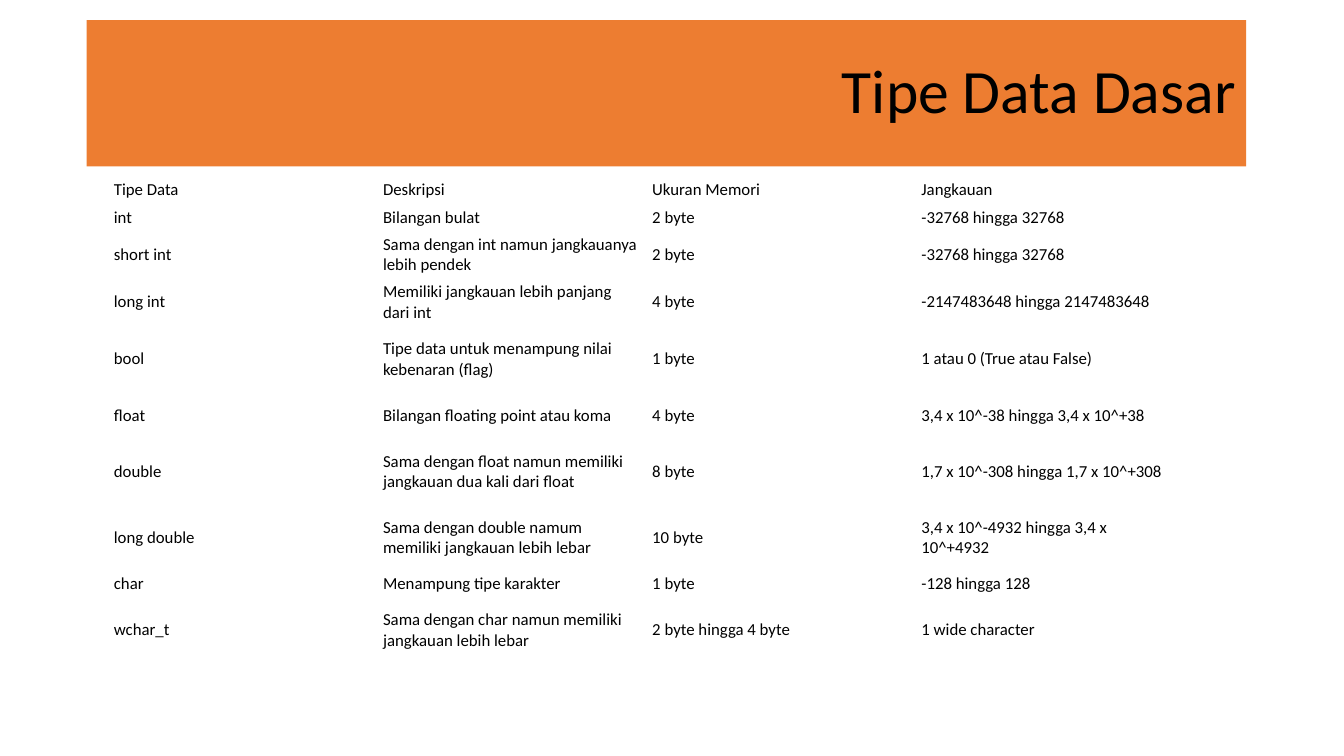
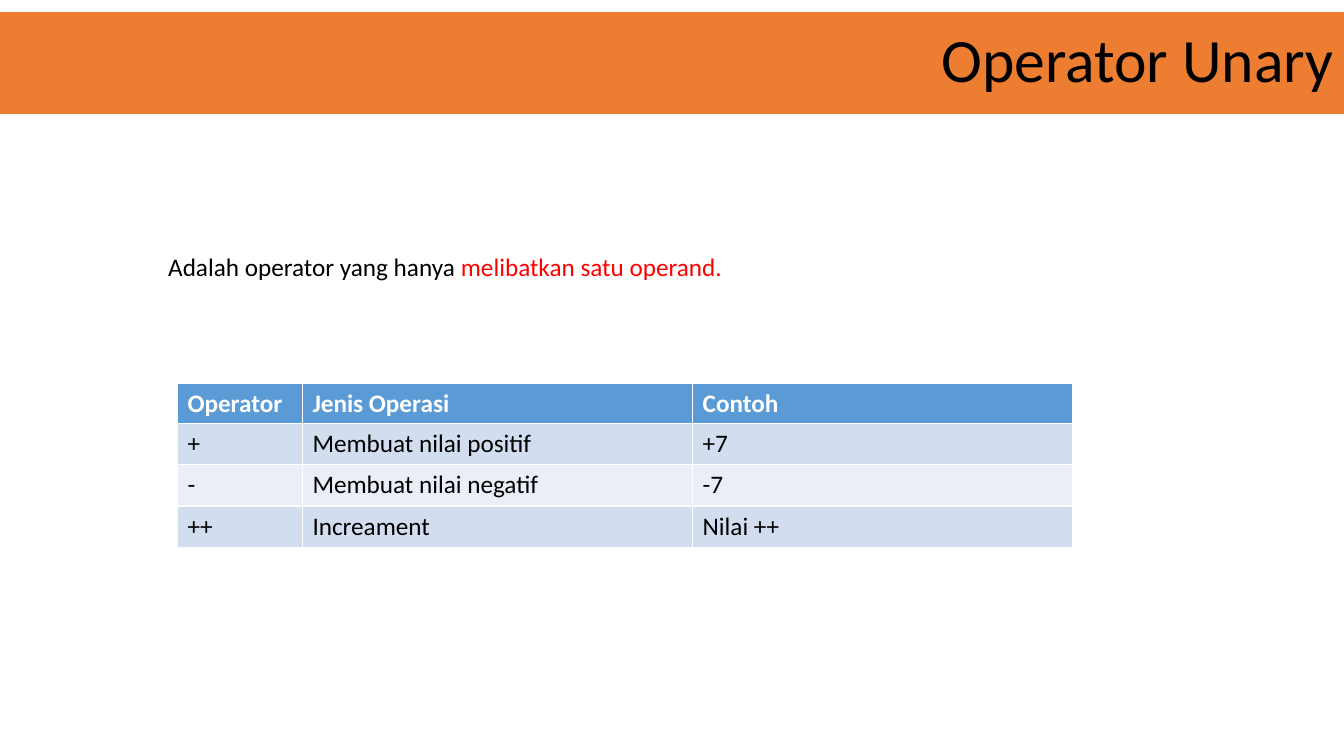
from pptx import Presentation
from pptx import util as u
from pptx.dml.color import RGBColor
from pptx.enum import text as t

# Shared look
FONT = "Calibri"
ORANGE = RGBColor(0xED, 0x7D, 0x31)
BLACK = RGBColor(0, 0, 0)
WHITE = RGBColor(255, 255, 255)
RED = RGBColor(255, 0, 0)
BLUE = RGBColor(0x5B, 0x9B, 0xD5)
BANDS = RGBColor(0xD2, 0xDE, 0xEF), RGBColor(0xEA, 0xEF, 0xF7)
WIDE, HIGH = 13.33, 7.5

# Content
TYPES = [
    ("Tipe Data", "Deskripsi", "Ukuran Memori", "Jangkauan"),
    ("int", "Bilangan bulat", "2 byte", "-32768 hingga 32768"),
    ("short int", "Sama dengan int namun jangkauanya lebih pendek",
     "2 byte", "-32768 hingga 32768"),
    ("long int", "Memiliki jangkauan lebih panjang dari int",
     "4 byte", "-2147483648 hingga 2147483648"),
    ("bool", "Tipe data untuk menampung nilai kebenaran (flag)",
     "1 byte", "1 atau 0 (True atau False)"),
    ("float", "Bilangan floating point atau koma",
     "4 byte", "3,4 x 10^-38 hingga 3,4 x 10^+38"),
    ("double", "Sama dengan float namun memiliki jangkauan dua kali dari float",
     "8 byte", "1,7 x 10^-308 hingga 1,7 x 10^+308"),
    ("long double", "Sama dengan double namum memiliki jangkauan lebih lebar",
     "10 byte", "3,4 x 10^-4932 hingga 3,4 x 10^+4932"),
    ("char", "Menampung tipe karakter", "1 byte", "-128 hingga 128"),
    ("wchar_t", "Sama dengan char namun memiliki jangkauan lebih lebar",
     "2 byte hingga 4 byte", "1 wide character"),
]
TALL = [0.3, 0.26, 0.47, 0.47, 0.66, 0.46, 0.66, 0.65, 0.26, 0.65]
UNARY = [
    ("Operator", "Jenis Operasi", "Contoh"),
    ("+", "Membuat nilai positif", "+7"),
    ("-", "Membuat nilai negatif", "-7"),
    ("++", "Increament", "Nilai ++"),
]
INTRO = [("Adalah operator yang hanya ", BLACK),
         ("melibatkan satu operand.", RED)]


def box(*nums):
    return [u.Inches(n) for n in nums]


def write(para, words, size, color=BLACK, bold=False):
    run = para.add_run()
    run.text = words
    font = run.font
    font.name, font.size, font.bold = FONT, u.Pt(size), bold
    font.color.rgb = color


def new_slide(deck, words, place):
    """Add a slide with its orange title band."""
    slide = deck.slides.add_slide(deck.slide_layouts[5])
    band = slide.shapes.title
    band.left, band.top, band.width, band.height = box(*place)
    band.fill.solid()
    band.fill.fore_color.rgb = ORANGE
    frame = band.text_frame
    frame.auto_size = t.MSO_AUTO_SIZE.NONE
    frame.vertical_anchor = t.MSO_ANCHOR.MIDDLE
    para = frame.paragraphs[0]
    para.alignment = t.PP_ALIGN.RIGHT
    para.line_spacing = 0.9
    write(para, words, 44)
    return slide


def add_grid(slide, data, left, top, cols, rows, style):
    """Add a table; style(cell, words, row) dresses each cell."""
    grid = slide.shapes.add_table(
        len(rows), len(cols), *box(left, top, sum(cols), sum(rows))).table
    for col, wide in zip(grid.columns, cols):
        col.width = u.Inches(wide)
    for r, (line, tall) in enumerate(zip(data, rows)):
        grid.rows[r].height = u.Inches(tall)
        for c, words in enumerate(line):
            style(grid.cell(r, c), words, r)
    return grid


def plain(cell, words, row):
    cell.fill.background()
    cell.vertical_anchor = t.MSO_ANCHOR.MIDDLE
    cell.margin_left = cell.margin_right = u.Inches(0.07)
    cell.margin_top = cell.margin_bottom = u.Inches(0.03)
    write(cell.text_frame.paragraphs[0], words, 12)


def banded(cell, words, row):
    head = row == 0
    cell.fill.solid()
    cell.fill.fore_color.rgb = BLUE if head else BANDS[(row - 1) % 2]
    write(cell.text_frame.paragraphs[0], words, 18,
          WHITE if head else BLACK, head)


def main():
    deck = Presentation()
    deck.slide_width, deck.slide_height = box(WIDE, HIGH)

    # Basic data types
    slide = new_slide(deck, "Tipe Data Dasar", (0.86, 0.2, 11.5, 1.45))
    grid = add_grid(slide, TYPES, 1.06, 1.73, [2.67] * 4, TALL, plain)
    grid.first_row = grid.horz_banding = False

    # Unary operators
    slide = new_slide(deck, "Operator Unary", (0, 0.12, WIDE, 1.01))
    note = slide.shapes.add_textbox(*box(1.57, 2.44, 10.2, 0.4)).text_frame
    note.word_wrap = True
    for words, color in INTRO:
        write(note.paragraphs[0], words, 18, color)
    add_grid(slide, UNARY, 1.76, 3.8, [1.24, 3.87, 3.77],
             [0.4] + [0.41] * 3, banded)

    deck.save("out.pptx")


if __name__ == "__main__":
    main()
